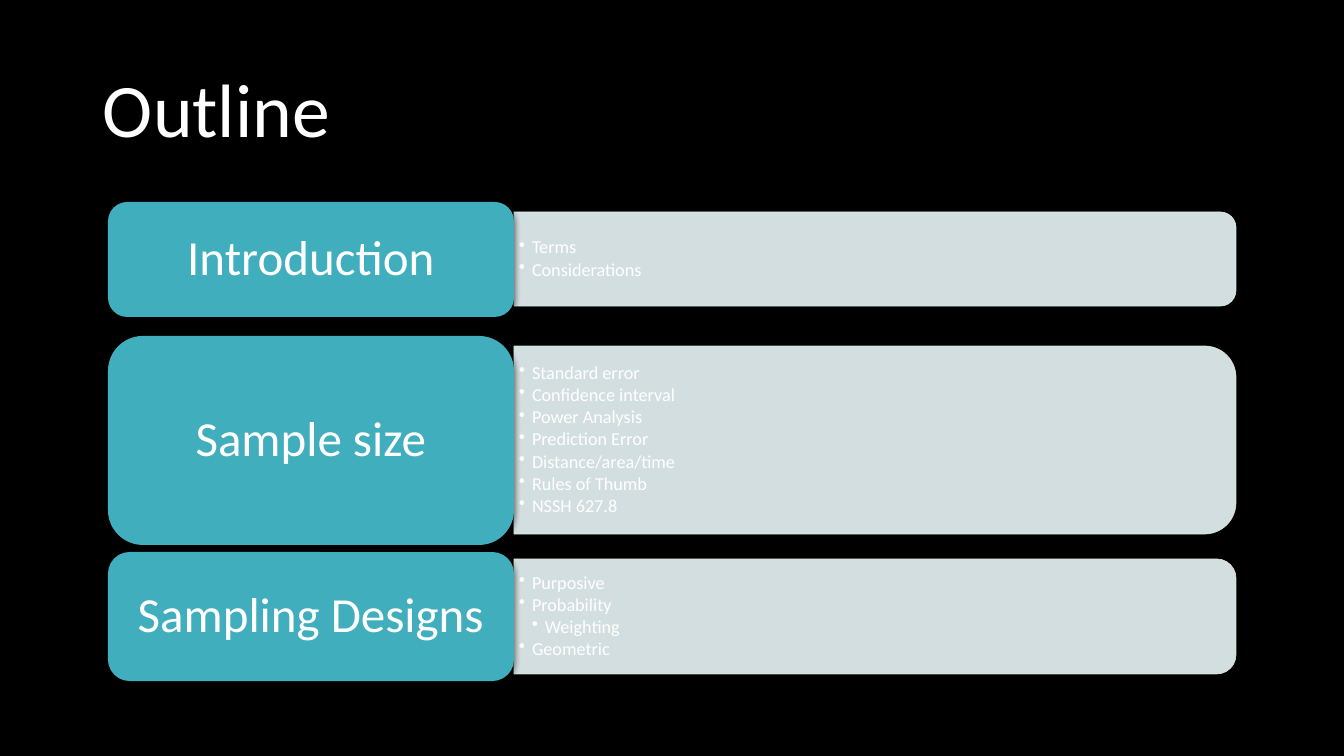
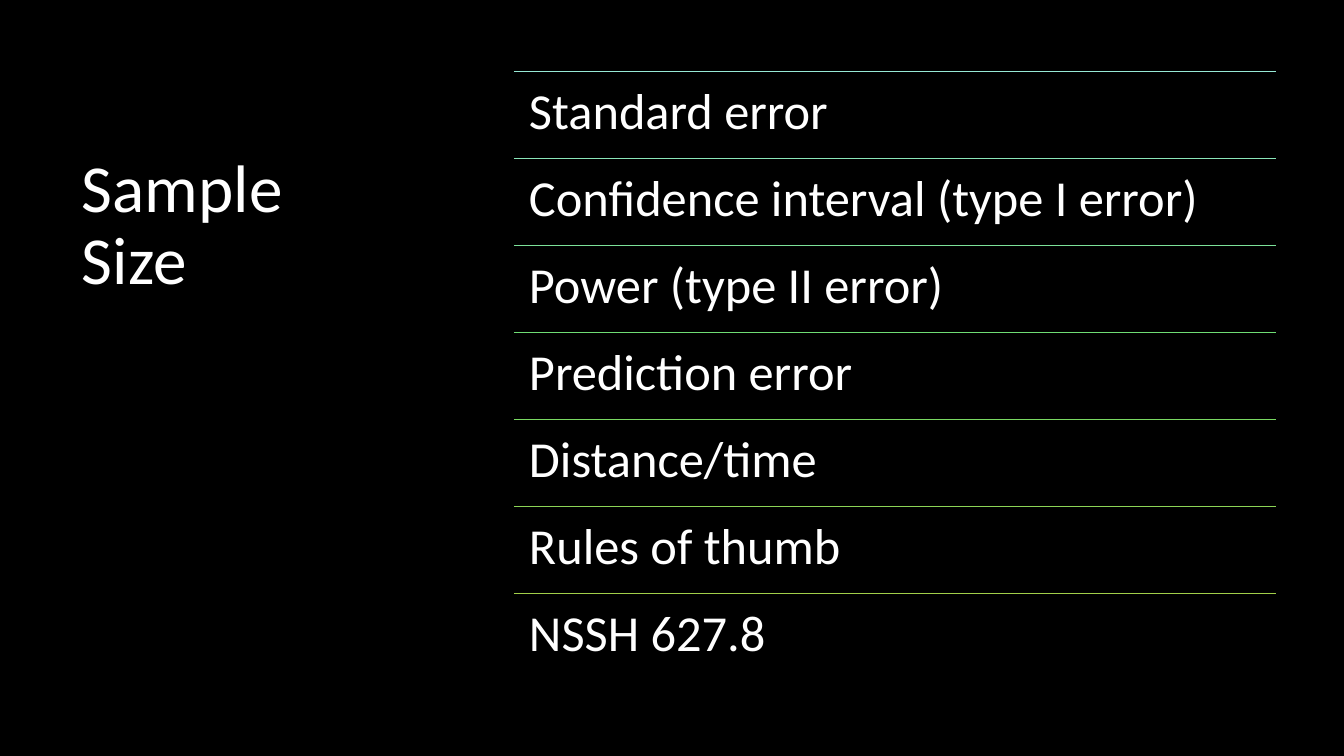
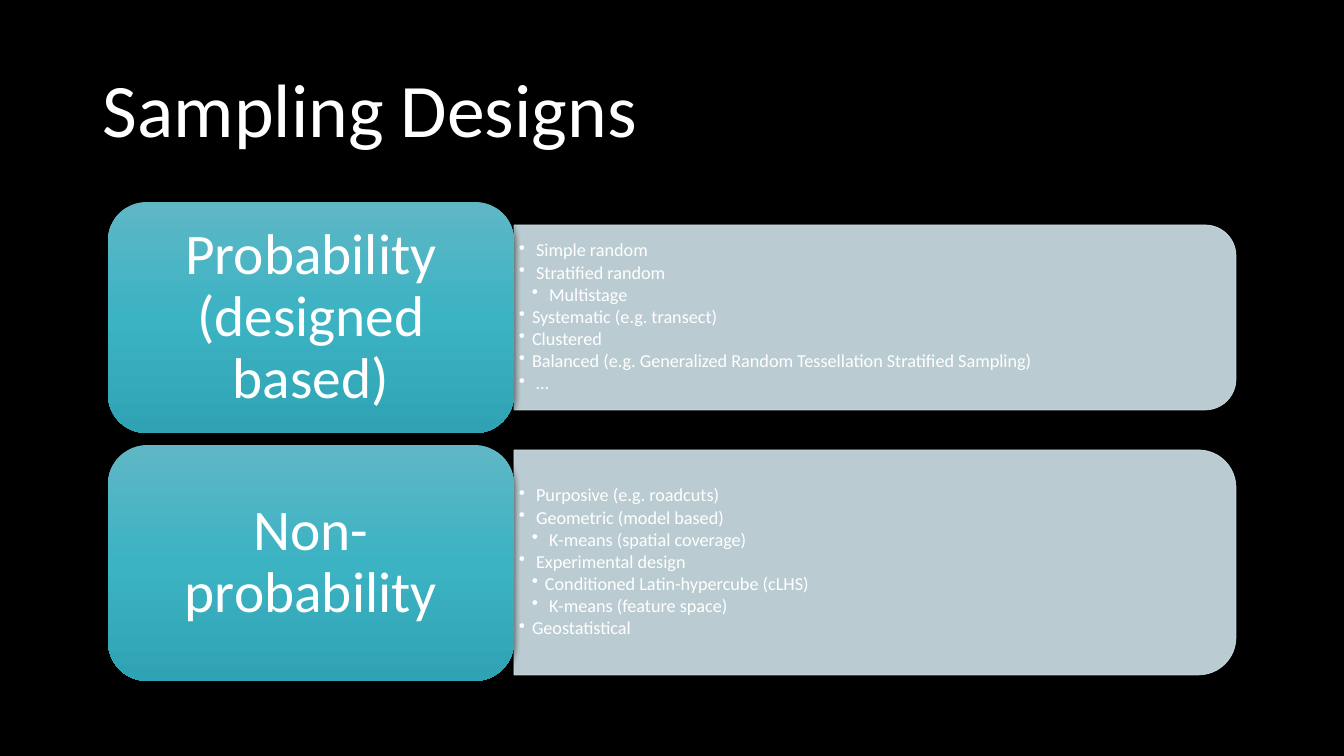
from dataclasses import dataclass
from typing import NamedTuple, Optional, Sequence

from lxml import etree
from pptx import Presentation
from pptx.dml.color import RGBColor
from pptx.enum.shapes import MSO_CONNECTOR, MSO_SHAPE
from pptx.enum.text import MSO_ANCHOR, PP_ALIGN
from pptx.oxml.ns import qn
from pptx.shapes.autoshape import Shape
from pptx.slide import Slide
from pptx.text.text import TextFrame
from pptx.util import Pt

ROUNDED = MSO_SHAPE.ROUNDED_RECTANGLE
ROUNDED_END = MSO_SHAPE.ROUND_2_SAME_RECTANGLE
STRAIGHT = MSO_CONNECTOR.STRAIGHT
TOP = MSO_ANCHOR.TOP
MIDDLE = MSO_ANCHOR.MIDDLE
LEFT = PP_ALIGN.LEFT
CENTER = PP_ALIGN.CENTER

SLIDE_WIDTH = 1344
SLIDE_HEIGHT = 756
EMU_PER_PX = 12192000 / SLIDE_WIDTH


@dataclass(frozen=True)
class Theme:
    font: str = "Calibri"
    background: str = "000000"
    text: str = "FFFFFF"
    shadow: str = "000000"
    title_size: int = 54
    side_title_size: int = 48
    list_size: int = 36
    bullet_size: int = 13
    line_spacing: float = 0.9
    bullet_gap: float = 1.75
    bullet_indent: int = 13
    hairline: float = 0.5
    panel_opacity: int = 90


THEME = Theme()


class Box(NamedTuple):
    left: int
    top: int
    width: int
    height: int


class Insets(NamedTuple):
    horizontal: int
    vertical: int


class Bullet(NamedTuple):
    text: str
    level: int = 1


@dataclass(frozen=True)
class BlockStyle:
    label_colors: tuple[str, ...]
    label_size: int
    label_insets: Insets
    panel_color: str


@dataclass(frozen=True)
class Block:
    label: str
    top: int
    height: int
    panel_height: int
    panel_line: str
    bullets: tuple[Bullet, ...]


TITLE_BOX = Box(93, 40, 1159, 146)
SIDE_TITLE_BOX = Box(72, 149, 324, 491)
LABEL_LEFT = 108
LABEL_WIDTH = 406
PANEL_LEFT = LABEL_LEFT + LABEL_WIDTH
PANEL_WIDTH = 722
LIST_LEFT = 514
LIST_TOP = 71
LIST_WIDTH = 762
LIST_STEP = 87

DEFAULT_INSETS = Insets(10, 5)
BULLET_INSETS = Insets(5, 3)
LIST_INSETS = Insets(15, 15)

OUTLINE_STYLE = BlockStyle(("41AEBD",), 35, Insets(15, 7), "EAF7FA")
DESIGN_STYLE = BlockStyle(("5FB7C5", "3BB3C3", "2FA3B3"), 41, Insets(17, 9), "CFE3E8")

OUTLINE_BLOCKS = (
    Block("Introduction", 202, 115, 94, "DDF7EF",
          (Bullet("Terms"), Bullet("Considerations"))),
    Block("Sample size", 336, 209, 188, "D6F2D8",
          (Bullet("Standard error"), Bullet("Confidence interval"),
           Bullet("Power Analysis"), Bullet("Prediction Error"),
           Bullet("Distance/area/time"), Bullet("Rules of Thumb"),
           Bullet("NSSH 627.8"))),
    Block("Sampling Designs", 552, 129, 115, "E0EDCF",
          (Bullet("Purposive"), Bullet("Probability"),
           Bullet("Weighting", 2), Bullet("Geometric"))),
)

DESIGN_BLOCKS = (
    Block("Probability (designed based)", 202, 231, 185, "CFE3E8",
          (Bullet(" Simple random"), Bullet(" Stratified random"),
           Bullet(" Multistage", 2), Bullet("Systematic (e.g. transect)"),
           Bullet("Clustered"),
           Bullet("Balanced (e.g. Generalized Random Tessellation Stratified Sampling)"),
           Bullet(" …"))),
    Block("Non-probability", 445, 236, 225, "CFE3E8",
          (Bullet(" Purposive (e.g. roadcuts)"), Bullet(" Geometric (model based)"),
           Bullet(" K-means (spatial coverage)", 2), Bullet(" Experimental design"),
           Bullet("Conditioned Latin-hypercube (cLHS)", 2),
           Bullet(" K-means (feature space)", 2), Bullet("Geostatistical"))),
)

SAMPLE_SIZE_TOPICS = (
    ("Standard error", "97E9D5"),
    ("Confidence interval (type I error)", "8AE5B9"),
    ("Power (type II error)", "7CE199"),
    ("Prediction error", "6FDD74"),
    ("Distance/time", "79D862"),
    ("Rules of thumb", "8CD456"),
    ("NSSH 627.8", "A2CF49"),
)


def px(length: float) -> int:
    return round(length * EMU_PER_PX)


def color(value: str) -> RGBColor:
    return RGBColor.from_string(value)


def write_text(frame: TextFrame, lines: Sequence[Bullet], *, size: int,
               align: PP_ALIGN = LEFT, anchor: MSO_ANCHOR = TOP,
               insets: Insets = DEFAULT_INSETS, gap: float = 0) -> None:
    frame.word_wrap = True
    frame.vertical_anchor = anchor
    frame.margin_left = frame.margin_right = px(insets.horizontal)
    frame.margin_top = frame.margin_bottom = px(insets.vertical)
    for index, line in enumerate(lines):
        para = frame.add_paragraph() if index else frame.paragraphs[0]
        para.alignment = align
        para.line_spacing = THEME.line_spacing
        para.space_after = Pt(gap)
        if line.level:
            properties = para._p.get_or_add_pPr()
            properties.set("marL", str(px(THEME.bullet_indent * line.level)))
            properties.set("indent", str(px(-THEME.bullet_indent)))
            etree.SubElement(properties, qn("a:buChar"), char="•")
        span = para.add_run()
        span.text = line.text
        span.font.name = THEME.font
        span.font.size = Pt(size)
        span.font.color.rgb = color(THEME.text)


def add_text(page: Slide, box: Box, lines: Sequence[Bullet], *, size: int,
             anchor: MSO_ANCHOR = TOP, insets: Insets = DEFAULT_INSETS,
             gap: float = 0) -> None:
    text_box = page.shapes.add_textbox(*map(px, box))
    write_text(text_box.text_frame, lines, size=size, anchor=anchor,
               insets=insets, gap=gap)


def fill_label(shape: Shape, colors: Sequence[str]) -> None:
    if len(colors) == 1:
        shape.fill.solid()
        shape.fill.fore_color.rgb = color(colors[0])
        return
    shape.fill.gradient()
    shape.fill.gradient_angle = 270
    stops = shape._element.spPr.find(qn("a:gradFill")).find(qn("a:gsLst"))
    for stop in list(stops):
        stops.remove(stop)
    for index, value in enumerate(colors):
        position = 100000 * index // (len(colors) - 1)
        stop = etree.SubElement(stops, qn("a:gs"), pos=str(position))
        etree.SubElement(stop, qn("a:srgbClr"), val=value)


def add_shadow(shape: Shape) -> None:
    shape.shadow.inherit = False
    effects = shape._element.spPr.find(qn("a:effectLst"))
    shadow = etree.SubElement(effects, qn("a:outerShdw"), blurRad=str(Pt(4.5)),
                              dist=str(Pt(1.5)), dir="5400000", rotWithShape="0")
    tint = etree.SubElement(shadow, qn("a:srgbClr"), val=THEME.shadow)
    etree.SubElement(tint, qn("a:alpha"), val="63000")


def set_opacity(shape: Shape, percent: int) -> None:
    for tint in shape._element.spPr.iter(qn("a:srgbClr")):
        etree.SubElement(tint, qn("a:alpha"), val=str(percent * 1000))


def add_panel(page: Slide, box: Box, fill: str, line: str) -> None:
    left = box.left + (box.width - box.height) / 2
    top = box.top + (box.height - box.width) / 2
    panel = page.shapes.add_shape(ROUNDED_END, px(left), px(top),
                                  px(box.height), px(box.width))
    panel.rotation = 90
    panel.shadow.inherit = False
    panel.fill.solid()
    panel.fill.fore_color.rgb = color(fill)
    panel.line.color.rgb = color(line)
    panel.line.width = Pt(THEME.hairline)
    set_opacity(panel, THEME.panel_opacity)


def add_block(page: Slide, block: Block, style: BlockStyle) -> None:
    panel_top = block.top + (block.height - block.panel_height) // 2
    panel_box = Box(PANEL_LEFT, panel_top, PANEL_WIDTH, block.panel_height)
    add_panel(page, panel_box, style.panel_color, block.panel_line)
    add_text(page, panel_box, block.bullets, size=THEME.bullet_size,
             anchor=MIDDLE, insets=BULLET_INSETS, gap=THEME.bullet_gap)
    label_box = Box(LABEL_LEFT, block.top, LABEL_WIDTH, block.height)
    label = page.shapes.add_shape(ROUNDED, *map(px, label_box))
    fill_label(label, style.label_colors)
    label.line.fill.background()
    add_shadow(label)
    write_text(label.text_frame, [Bullet(block.label, 0)], size=style.label_size,
               align=CENTER, anchor=MIDDLE, insets=style.label_insets)


def add_rule(page: Slide, left: int, top: int, width: int, tint: str) -> None:
    rule = page.shapes.add_connector(STRAIGHT, px(left), px(top),
                                     px(left + width), px(top))
    rule.line.color.rgb = color(tint)
    rule.line.width = Pt(THEME.hairline)
    etree.SubElement(rule._element.spPr, qn("a:effectLst"))


def add_page(deck, title: str, *, box: Optional[Box] = None,
             size: int = THEME.title_size, anchor: MSO_ANCHOR = MIDDLE) -> Slide:
    page = deck.slides.add_slide(deck.slide_layouts[6])
    page.background.fill.solid()
    page.background.fill.fore_color.rgb = color(THEME.background)
    add_text(page, box or TITLE_BOX, [Bullet(title, 0)], size=size, anchor=anchor)
    return page


def add_block_page(deck, title: str, blocks: Sequence[Block],
                   style: BlockStyle) -> None:
    page = add_page(deck, title)
    for block in blocks:
        add_block(page, block, style)


def add_list_page(deck, title: str, topics: Sequence[tuple[str, str]]) -> None:
    page = add_page(deck, title, box=SIDE_TITLE_BOX,
                    size=THEME.side_title_size, anchor=TOP)
    for index, (topic, tint) in enumerate(topics):
        top = LIST_TOP + index * LIST_STEP
        add_rule(page, LIST_LEFT, top, LIST_WIDTH, tint)
        add_text(page, Box(LIST_LEFT, top, LIST_WIDTH, LIST_STEP),
                 [Bullet(topic, 0)], size=THEME.list_size, insets=LIST_INSETS)


def main() -> None:
    deck = Presentation()
    deck.slide_width = px(SLIDE_WIDTH)
    deck.slide_height = px(SLIDE_HEIGHT)
    add_block_page(deck, "Outline", OUTLINE_BLOCKS, OUTLINE_STYLE)
    add_list_page(deck, "Sample Size", SAMPLE_SIZE_TOPICS)
    add_block_page(deck, "Sampling Designs", DESIGN_BLOCKS, DESIGN_STYLE)
    deck.save("out.pptx")


if __name__ == "__main__":
    main()
